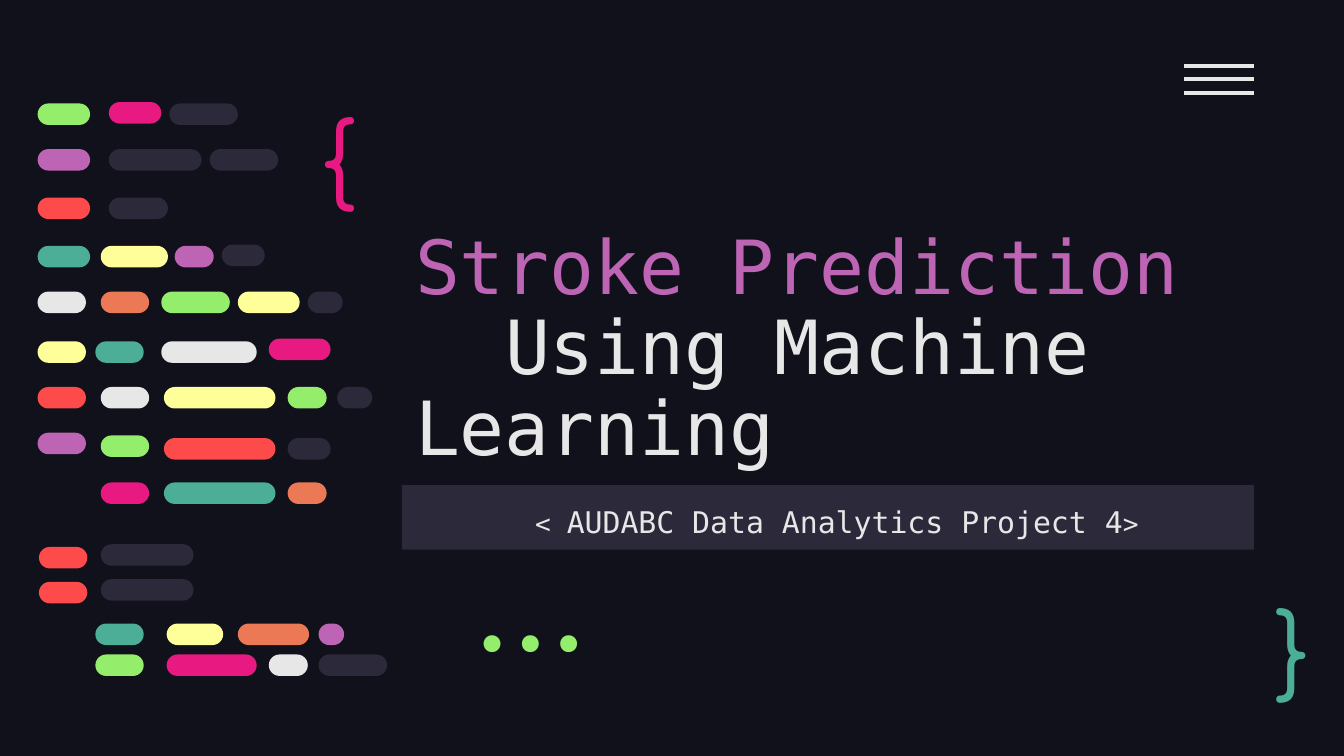
from dataclasses import dataclass

from lxml import etree
from pptx import Presentation
from pptx.dml.color import RGBColor
from pptx.enum.shapes import MSO_CONNECTOR, MSO_SHAPE
from pptx.enum.text import MSO_ANCHOR, PP_ALIGN
from pptx.oxml.ns import qn
from pptx.util import Emu, Pt

RECT, PILL = MSO_SHAPE.RECTANGLE, MSO_SHAPE.ROUNDED_RECTANGLE
STRAIGHT = MSO_CONNECTOR.STRAIGHT
TOP, MIDDLE, BOTTOM = MSO_ANCHOR.TOP, MSO_ANCHOR.MIDDLE, MSO_ANCHOR.BOTTOM
LEFT, CENTER, RIGHT = PP_ALIGN.LEFT, PP_ALIGN.CENTER, PP_ALIGN.RIGHT

EMU_PER_PX = 9144  # 100 px to the inch
PAGE_WIDTH = 1000
INSET = 10
PILL_HEIGHT = 16


@dataclass(frozen=True)
class Theme:
    night: str = "10111A"
    slate: str = "2C293A"
    white: str = "E7E7E7"
    green: str = "94EE6B"
    pink: str = "E81A81"
    purple: str = "BD64B5"
    red: str = "FD4A4A"
    teal: str = "4CAE97"
    yellow: str = "FFFF99"
    orange: str = "EC7955"
    mono: str = "DejaVu Sans Mono"
    round: str = "Comfortaa"
    code: str = "Fira Code"
    title_size: int = 40
    symbol_size: int = 50
    subtitle_size: int = 16
    bracket_size: int = 14
    rule_width: float = 2.25


THEME = Theme()

# Code lines: top, then (left, width, colour) of each pill
CODE_LINES = [
    (77, [(28, 39, "green"), (126, 51, "slate")]),
    (76, [(81, 39, "pink")]),
    (111, [(28, 39, "purple"), (81, 69, "slate"), (156, 51, "slate")]),
    (147, [(28, 39, "red"), (81, 44, "slate")]),
    (183, [(28, 39, "teal"), (75, 50, "yellow"), (130, 29, "purple")]),
    (182, [(165, 32, "slate")]),
    (217, [(28, 36, "white"), (75, 36, "orange"), (120, 51, "green"),
           (177, 46, "yellow"), (229, 26, "slate")]),
    (254, [(28, 36, "yellow"), (71, 36, "teal"), (120, 71, "white")]),
    (252, [(200, 46, "pink")]),
    (288, [(28, 36, "red"), (75, 36, "white"), (122, 83, "yellow"),
           (214, 29, "green"), (251, 26, "slate")]),
    (322, [(28, 36, "purple")]),
    (324, [(75, 36, "green")]),
    (326, [(122, 83, "red"), (214, 32, "slate")]),
    (359, [(75, 36, "pink"), (122, 83, "teal"), (214, 29, "orange")]),
    (407, [(29, 36, "red")]),
    (405, [(75, 69, "slate")]),
    (433, [(29, 36, "red")]),
    (431, [(75, 69, "slate")]),
    (464, [(71, 36, "teal"), (124, 42, "yellow"), (177, 53, "orange"),
           (237, 19, "purple")]),
    (487, [(71, 36, "green"), (124, 67, "pink"), (200, 29, "white"),
           (237, 51, "slate")]),
]


def px(*lengths):
    return [Emu(length * EMU_PER_PX) for length in lengths]


def rgb(color):
    return RGBColor.from_string(color)


class Painter:
    def __init__(self, page, theme):
        self.page = page
        self.theme = theme

    def background(self, color):
        fill = self.page.background.fill
        fill.solid()
        fill.fore_color.rgb = rgb(color)

    def group(self):
        return self.page.shapes.add_group_shape().shapes

    def shape(self, shapes, kind, area, color):
        shape = shapes.add_shape(kind, *px(*area))
        shape.shadow.inherit = False
        shape.fill.solid()
        shape.fill.fore_color.rgb = rgb(color)
        shape.line.fill.background()
        return shape

    def pill(self, shapes, left, top, width, color):
        pill = self.shape(shapes, PILL, (left, top, width, PILL_HEIGHT), color)
        pill.adjustments[0] = 0.5

    def rule(self, shapes, left, right, y):
        rule = shapes.add_connector(STRAIGHT, *px(left, y, right, y))
        rule.line.color.rgb = rgb(self.theme.white)
        rule.line.width = Pt(self.theme.rule_width)
        etree.SubElement(rule._element.spPr, qn("a:effectLst"))

    def textbox(self, area, anchor=TOP):
        return self.frame(self.page.shapes.add_textbox(*px(*area)), anchor)

    def frame(self, box, anchor):
        frame = box.text_frame
        frame.word_wrap = True
        frame.vertical_anchor = anchor
        (frame.margin_left, frame.margin_top,
         frame.margin_right, frame.margin_bottom) = px(*[INSET] * 4)
        return frame

    def style(self, para, font, size, color, align=LEFT, spacing=1.0):
        para.font.name = font
        para.font.size = Pt(size)
        para.font.color.rgb = rgb(color)
        para.alignment = align
        para.line_spacing = spacing

    def symbol(self, text, area, font, color, anchor=TOP, align=LEFT):
        para = self.textbox(area, anchor).paragraphs[0]
        para.text = text
        self.style(para, font, self.theme.symbol_size, color, align)


def main():
    deck = Presentation()
    deck.slide_width, = px(PAGE_WIDTH)
    deck.slide_height = Emu(deck.slide_width * 9 // 16)
    page = deck.slides.add_slide(deck.slide_layouts[6])
    painter = Painter(page, THEME)
    painter.background(THEME.night)

    # Title, second line indented like code
    title = painter.textbox((299, 138, 634, 223), BOTTOM)
    first, second = title.paragraphs[0], title.add_paragraph()
    for para, text, color in ((first, "Stroke Prediction", THEME.purple),
                              (second, "Using Machine Learning", THEME.white)):
        para.text = text
        painter.style(para, THEME.mono, THEME.title_size, color, spacing=0.9)
    second._p.get_or_add_pPr().set("indent", str(px(67)[0]))

    # Subtitle bar
    bar = painter.shape(page.shapes, RECT, (299, 361, 634, 48), THEME.slate)
    para = painter.frame(bar, TOP).paragraphs[0]
    painter.style(para, THEME.mono, THEME.subtitle_size, THEME.white, CENTER, 1.15)
    for text, size in ((" ", THEME.subtitle_size),
                       ("< ", THEME.bracket_size),
                       ("AUDABC Data Analytics Project 4", THEME.subtitle_size),
                       (">", THEME.bracket_size)):
        span = para.add_run()
        span.text = text
        span.font.size = Pt(size)

    # Code symbols
    painter.symbol("{", (229, 62, 77, 95), THEME.round, THEME.pink)
    painter.symbol("}", (939, 438, 57, 83), THEME.round, THEME.teal, MIDDLE)
    painter.symbol("...", (311, 449, 158, 60), THEME.code, THEME.green, BOTTOM, RIGHT)

    # Menu icon
    menu = painter.group()
    for row in range(3):
        painter.rule(menu, 881, 933, 49 + 10 * row)

    # Code block
    code = painter.group()
    for top, pills in CODE_LINES:
        for left, width, color in pills:
            painter.pill(code, left, top, width, getattr(THEME, color))

    deck.save("out.pptx")


if __name__ == "__main__":
    main()
